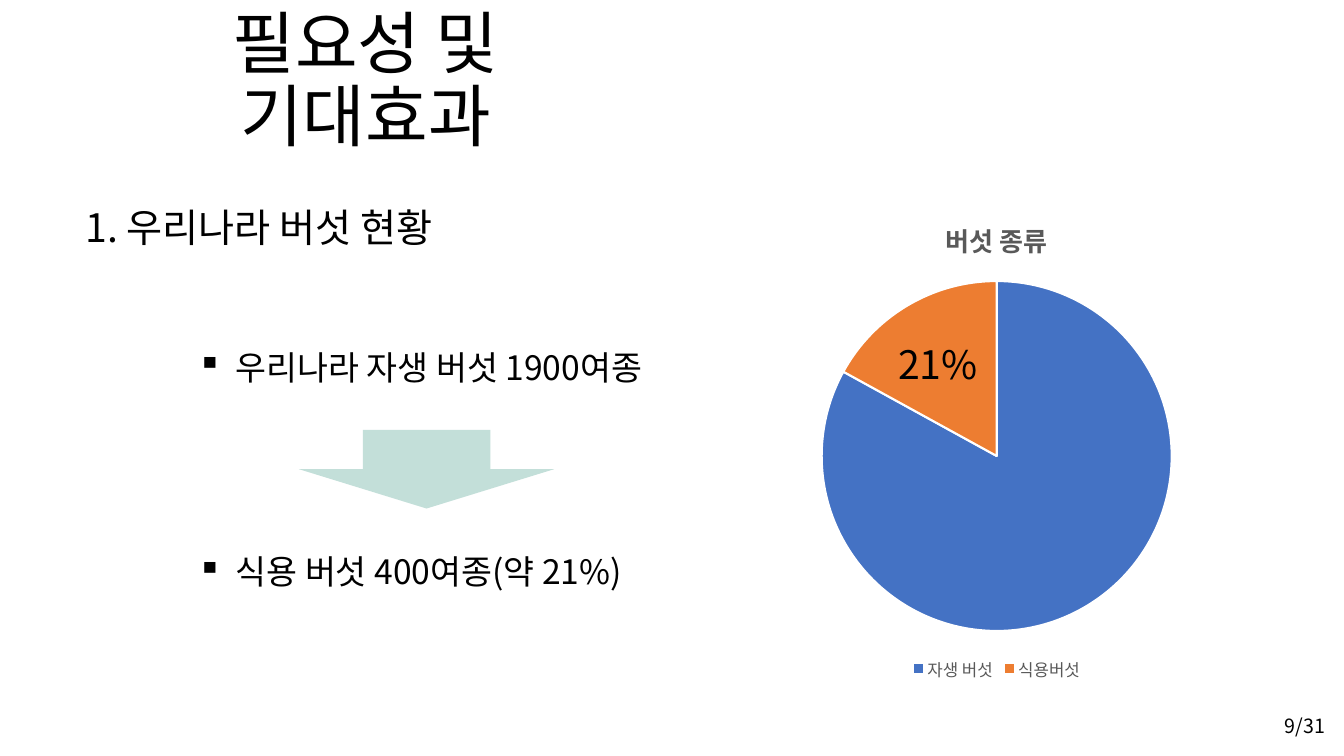
from dataclasses import dataclass

from lxml.etree import SubElement
from pptx import Presentation
from pptx.chart.data import CategoryChartData as PieData
from pptx.dml.color import RGBColor as Rgb
from pptx.enum.chart import XL_CHART_TYPE as Kind, XL_LEGEND_POSITION as Side
from pptx.enum.shapes import MSO_SHAPE as Form
from pptx.enum.text import MSO_ANCHOR as Anchor, PP_ALIGN as Align
from pptx.oxml.ns import qn
from pptx.slide import Slide
from pptx.text.text import Font
from pptx.util import Emu, Inches, Pt

WIDE, HIGH = Inches(13.33), Inches(7.5)


@dataclass(frozen=True)
class Theme:
    face: str = "Noto Sans CJK KR"
    ink: str = "000000"
    gray: str = "595959"
    mint: str = "C3DFD9"
    edge: str = "FFFFFF"
    slices: tuple[str, ...] = ("4472C4", "ED7D31")
    title: float = 48.6
    head: float = 28
    body: float = 24
    chart: float = 18.6
    page: float = 14
    key: float = 12


@dataclass(frozen=True)
class Box:
    """A frame in percent of the slide's width and height."""
    left: float
    top: float
    width: float
    height: float

    def frame(self) -> tuple[Emu, Emu, Emu, Emu]:
        return (Emu(int(WIDE * self.left / 100)), Emu(int(HIGH * self.top / 100)),
                Emu(int(WIDE * self.width / 100)), Emu(int(HIGH * self.height / 100)))


@dataclass(frozen=True)
class Label:
    text: str
    box: Box
    size: float
    align: Align = Align.LEFT
    anchor: Anchor = Anchor.TOP
    space: float = 1.0
    bullet: str = ""


LOOK = Theme()
LABELS = (
    Label("필요성 및 기대효과", Box(6.83, 8.67, 40.74, 12.67), LOOK.title,
          Align.CENTER, Anchor.BOTTOM, 0.9),
    Label("1. 우리나라 버섯 현황", Box(5.63, 26.27, 27.68, 7.6), LOOK.head),
    Label("우리나라 자생 버섯 1900여종", Box(13.95, 45.2, 35.71, 6.67), LOOK.body, bullet="▪"),
    Label("식용 버섯 400여종(약 21%)", Box(13.95, 72.27, 33.61, 6.67), LOOK.body, bullet="▪"),
    Label("21%", Box(66.09, 44.4, 8.25, 7.6), LOOK.head),
    Label("9/31", Box(76.82, 93.33, 22.51, 5.33), LOOK.page, Align.RIGHT, Anchor.MIDDLE),
)
ARROW = Box(28.81, 45.2, 5.85, 33.73)
PIE = Box(53.94, 26.27, 40.44, 64.4)
SHARES = {"자생 버섯": 83, "식용버섯": 17}


def style(font: Font, size: float, color: str) -> None:
    """Set size, colour and face, the face for Hangul too."""
    font.size = Pt(size)
    font.color.rgb = Rgb.from_string(color)
    font.name = LOOK.face
    SubElement(font._element, qn("a:ea"), typeface=LOOK.face)


def write(slide: Slide, label: Label) -> None:
    frame = slide.shapes.add_textbox(*label.box.frame()).text_frame
    frame.word_wrap = True
    frame.vertical_anchor = label.anchor
    para = frame.paragraphs[0]
    para.text = label.text
    para.alignment = label.align
    para.line_spacing = label.space
    if label.bullet:
        props = para._p.get_or_add_pPr()
        props.set("marL", str(Inches(0.38)))
        props.set("indent", str(-Inches(0.38)))
        SubElement(props, qn("a:buChar"), char=label.bullet)
    style(para.font, label.size, LOOK.ink)


def point(slide: Slide) -> None:
    """Draw the arrow that leads down from one item to the next."""
    arrow = slide.shapes.add_shape(Form.RIGHT_ARROW, *ARROW.frame())
    arrow.rotation = 90
    arrow.shadow.inherit = False
    arrow.fill.solid()
    arrow.fill.fore_color.rgb = Rgb.from_string(LOOK.mint)
    arrow.line.fill.background()


def plot(slide: Slide) -> None:
    name = "버섯 종류"
    data = PieData()
    data.categories = list(SHARES)
    data.add_series(name, list(SHARES.values()))
    chart = slide.shapes.add_chart(Kind.PIE, *PIE.frame(), data).chart
    style(chart.font, LOOK.key, LOOK.gray)
    chart.has_title = True
    para = chart.chart_title.text_frame.paragraphs[0]
    para.text = name
    style(para.font, LOOK.chart, LOOK.gray)
    chart.has_legend = True
    chart.legend.position = Side.BOTTOM
    chart.legend.include_in_layout = False
    style(chart.legend.font, LOOK.key, LOOK.gray)
    pie = chart.plots[0]
    pie.vary_by_categories = True
    for at, color in enumerate(LOOK.slices):
        part = pie.series[0].points[at].format
        part.fill.solid()
        part.fill.fore_color.rgb = Rgb.from_string(color)
        part.line.color.rgb = Rgb.from_string(LOOK.edge)
        part.line.width = Pt(1.5)


def main() -> None:
    deck = Presentation()
    deck.slide_width, deck.slide_height = WIDE, HIGH
    slide = deck.slides.add_slide(deck.slide_layouts[6])
    point(slide)
    plot(slide)
    for label in LABELS:
        write(slide, label)
    deck.save("out.pptx")


if __name__ == "__main__":
    main()
